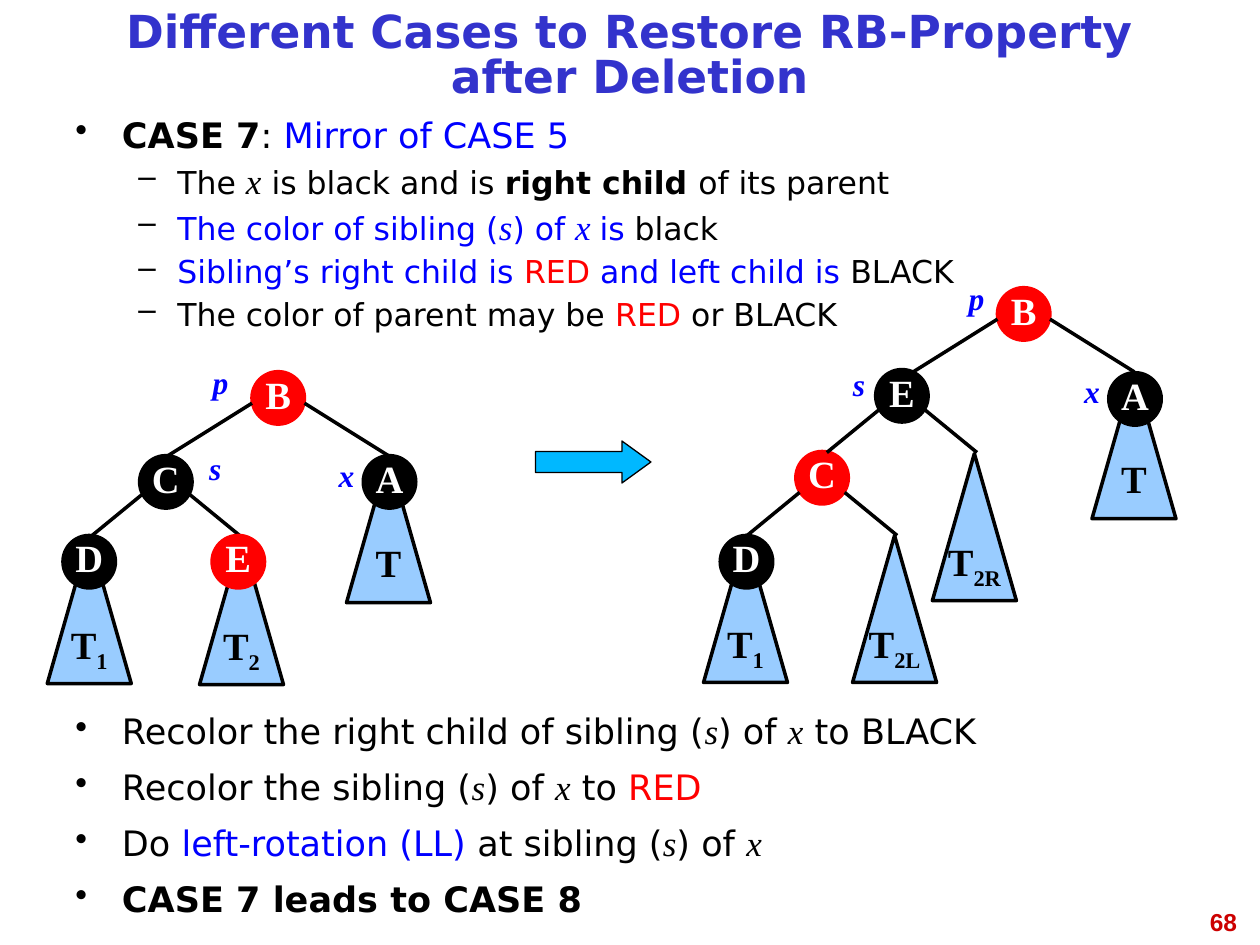
from pptx import Presentation
from pptx.dml.color import RGBColor
from pptx.enum.shapes import MSO_CONNECTOR, MSO_SHAPE
from pptx.enum.text import MSO_ANCHOR, PP_ALIGN
from pptx.oxml.ns import qn
from pptx.util import Inches, Pt
from lxml.etree import SubElement

BLACK = RGBColor(0, 0, 0)
WHITE = RGBColor(255, 255, 255)
RED = RGBColor(255, 0, 0)
BLUE = RGBColor(0, 0, 255)
INDIGO = RGBColor(0x33, 0x33, 0xCC)
MAROON = RGBColor(0xCC, 0, 0)
SKY = RGBColor(0x99, 0xCC, 0xFF)
CYAN = RGBColor(0, 0xB8, 0xFF)

SANS, SERIF = "DejaVu Sans", "Times New Roman"
WIDTH, HEIGHT = Inches(10), Inches(7.5)
COLS, ROWS = 120, 90
DISC = 5

VAR = dict(font=SERIF, size=20, italic=True)
BOLD = dict(bold=True)
INK, HOT, COOL = dict(color=BLACK), dict(color=RED), dict(color=BLUE)
COOLVAR = VAR | COOL

CASE = [
    ("•", [("CASE 7", BOLD), ": ", ("Mirror of CASE 5", COOL)]),
    ("–", ["The ", ("x", VAR), " is black and is ", ("right child ", BOLD), "of its parent"]),
    ("–", [("The color of sibling (", COOL), ("s", COOLVAR), (") of ", COOL),
           ("x ", COOLVAR), ("is ", COOL), "black"]),
    ("–", [("Sibling’s right child is ", COOL), ("RED", HOT),
           (" and left child is ", COOL), "BLACK"]),
    ("–", ["The color of parent may be ", ("RED", HOT), " or BLACK"]),
]
STEPS = [
    ("•", ["Recolor the right child of sibling (", ("s", VAR), ") of ", ("x", VAR), " to BLACK"]),
    ("•", ["Recolor the sibling (", ("s", VAR), ") of ", ("x", VAR), " to ", ("RED", HOT)]),
    ("•", ["Do ", ("left-rotation (LL)", COOL), " at sibling (", ("s", VAR), ") of ", ("x", VAR)]),
    ("•", [("CASE 7 leads to CASE 8", BOLD)]),
]
LEVELS = {
    "•": dict(level=0, size=20, before=8, left=0.37, hang=0.37),
    "–": dict(level=1, size=18, before=7, left=0.81, hang=0.31),
}


def grid(*spots):
    """Turn alternating columns and rows into lengths."""
    units = (WIDTH / COLS, HEIGHT / ROWS)
    return [round(spot * units[i % 2]) for i, spot in enumerate(spots)]


def write(para, parts, align=PP_ALIGN.CENTER, space=None, **style):
    """Fill a paragraph with runs that share a format unless they override it."""
    para.alignment = align
    if space:
        para.line_spacing = space
    for part in parts:
        text, extra = (part, {}) if isinstance(part, str) else part
        look = style | extra
        run = para.add_run()
        run.text = text
        font = run.font
        font.name = look.get("font", SANS)
        font.size = Pt(look["size"])
        font.bold = look.get("bold", False)
        font.italic = look.get("italic", False)
        font.color.rgb = look.get("color", BLACK)
        if look.get("sub"):
            run._r.get_or_add_rPr().set("baseline", "-25000")


def box(slide, spot, anchor=MSO_ANCHOR.TOP):
    """Add a wrapping text box and return its frame."""
    frame = slide.shapes.add_textbox(*grid(*spot)).text_frame
    frame.word_wrap = True
    frame.vertical_anchor = anchor
    return frame


def mark(para, sign, left, hang):
    """Give a paragraph its bullet and hanging indent."""
    props = para._p.get_or_add_pPr()
    props.set("marL", str(Inches(left)))
    props.set("indent", str(-Inches(hang)))
    tint = SubElement(props, qn("a:buClr"))
    SubElement(tint, qn("a:srgbClr")).set("val", str(BLACK))
    SubElement(props, qn("a:buChar")).set("char", sign)


def points(slide, spot, items, space=None):
    """Add a bulleted list."""
    frame = box(slide, spot)
    for i, (sign, parts) in enumerate(items):
        form = LEVELS[sign]
        para = frame.add_paragraph() if i else frame.paragraphs[0]
        para.level = form["level"]
        if i:
            para.space_before = Pt(form["before"])
        mark(para, sign, form["left"], form["hang"])
        write(para, parts, PP_ALIGN.JUSTIFY, space, size=form["size"])


def solid(slide, kind, spot, fill, line=BLACK, weight=2):
    """Add a filled and outlined preset shape."""
    shape = slide.shapes.add_shape(kind, *grid(*spot))
    shape.shadow.inherit = False
    shape.fill.solid()
    shape.fill.fore_color.rgb = fill
    shape.line.color.rgb = line
    shape.line.width = Pt(weight)
    return shape


def name(shape, parts, color):
    """Write the serif name of a node or subtree inside its shape."""
    frame = shape.text_frame
    frame.word_wrap = False
    frame.vertical_anchor = MSO_ANCHOR.MIDDLE
    write(frame.paragraphs[0], parts, space=0.81, font=SERIF, size=22, bold=True, color=color)


def node(slide, text, x, y, fill=BLACK):
    """Add a round tree node."""
    name(solid(slide, MSO_SHAPE.OVAL, (x, y, DISC, DISC), fill, fill), [text], WHITE)


def leaf(slide, x, y, sub=""):
    """Add a triangular subtree named T with a subscript."""
    parts = ["T", (sub, dict(sub=True))] if sub else ["T"]
    name(solid(slide, MSO_SHAPE.ISOSCELES_TRIANGLE, (x, y, 8, 14), SKY), parts, BLACK)


def fork(slide, x, y, wide=False):
    """Draw the two edges below the node at x, y."""
    inset, drop, run, fall = (0, 3, 8, 5) if wide else (0.35, 3.9, 5, 4.1)
    for start, way in ((x + inset, -1), (x + DISC - inset, 1)):
        ends = grid(start, y + drop, start + way * run, y + drop + fall)
        edge = slide.shapes.add_connector(MSO_CONNECTOR.STRAIGHT, *ends)
        edge.line.color.rgb = BLACK
        edge.line.width = Pt(2)
        SubElement(edge._element.spPr, qn("a:effectLst"))


def label(slide, text, x, y, wide):
    """Add a blue letter beside a node."""
    write(box(slide, (x, y, wide, 4.8)).paragraphs[0], [text],
          font=SERIF, size=18, bold=True, italic=True, color=BLUE)


def before(slide):
    """Draw the tree before rotation."""
    node(slide, "B", 24, 35.4, RED)
    fork(slide, 24, 35.4, wide=True)
    leaf(slide, 33, 43.4)
    node(slide, "A", 34.6, 43.4)
    node(slide, "C", 13.3, 43.4)
    fork(slide, 13.3, 43.1)
    leaf(slide, 4.5, 51.1, "1")
    leaf(slide, 19, 51.2, "2")
    node(slide, "D", 6, 51)
    node(slide, "E", 20.2, 51, RED)
    label(slide, "p", 16, 34, 10)
    label(slide, "s", 17, 42.2, 7)
    label(slide, "x", 30, 42.8, 6)


def after(slide):
    """Draw the tree after rotation."""
    node(slide, "B", 95, 27.4, RED)
    fork(slide, 95, 27.4, wide=True)
    node(slide, "C", 75.8, 43, RED)
    fork(slide, 83.4, 35.1)
    fork(slide, 75.8, 43)
    leaf(slide, 88.8, 43.2, "2R")
    leaf(slide, 67, 51, "1")
    leaf(slide, 81.2, 51, "2L")
    leaf(slide, 104, 35.4)
    node(slide, "E", 83.4, 35.2)
    node(slide, "D", 68.6, 51)
    node(slide, "A", 105.6, 35.5)
    label(slide, "p", 88, 26, 10)
    label(slide, "s", 78.3, 34.2, 7)
    label(slide, "x", 101, 34.8, 6)


def main():
    """Build the slide and save it."""
    deck = Presentation()
    deck.slide_width, deck.slide_height = WIDTH, HEIGHT
    slide = deck.slides.add_slide(deck.slide_layouts[6])
    write(box(slide, (91, 85.8, 28, 6.2)).paragraphs[0], ["68"], PP_ALIGN.RIGHT,
          font="Arial", size=14, bold=True, color=MAROON)
    write(box(slide, (6, 1, 108, 9), MSO_ANCHOR.MIDDLE).paragraphs[0],
          ["Different Cases to Restore RB-Property after Deletion"],
          space=0.81, size=26, bold=True, color=INDIGO)
    points(slide, (6, 11, 108, 23), CASE, 0.8)
    points(slide, (6, 67, 108, 20), STEPS)
    arrow = solid(slide, MSO_SHAPE.RIGHT_ARROW, (51, 42, 11, 4), CYAN, weight=0.75)
    arrow.adjustments[1] = 0.69
    before(slide)
    after(slide)
    deck.save("out.pptx")


if __name__ == "__main__":
    main()
